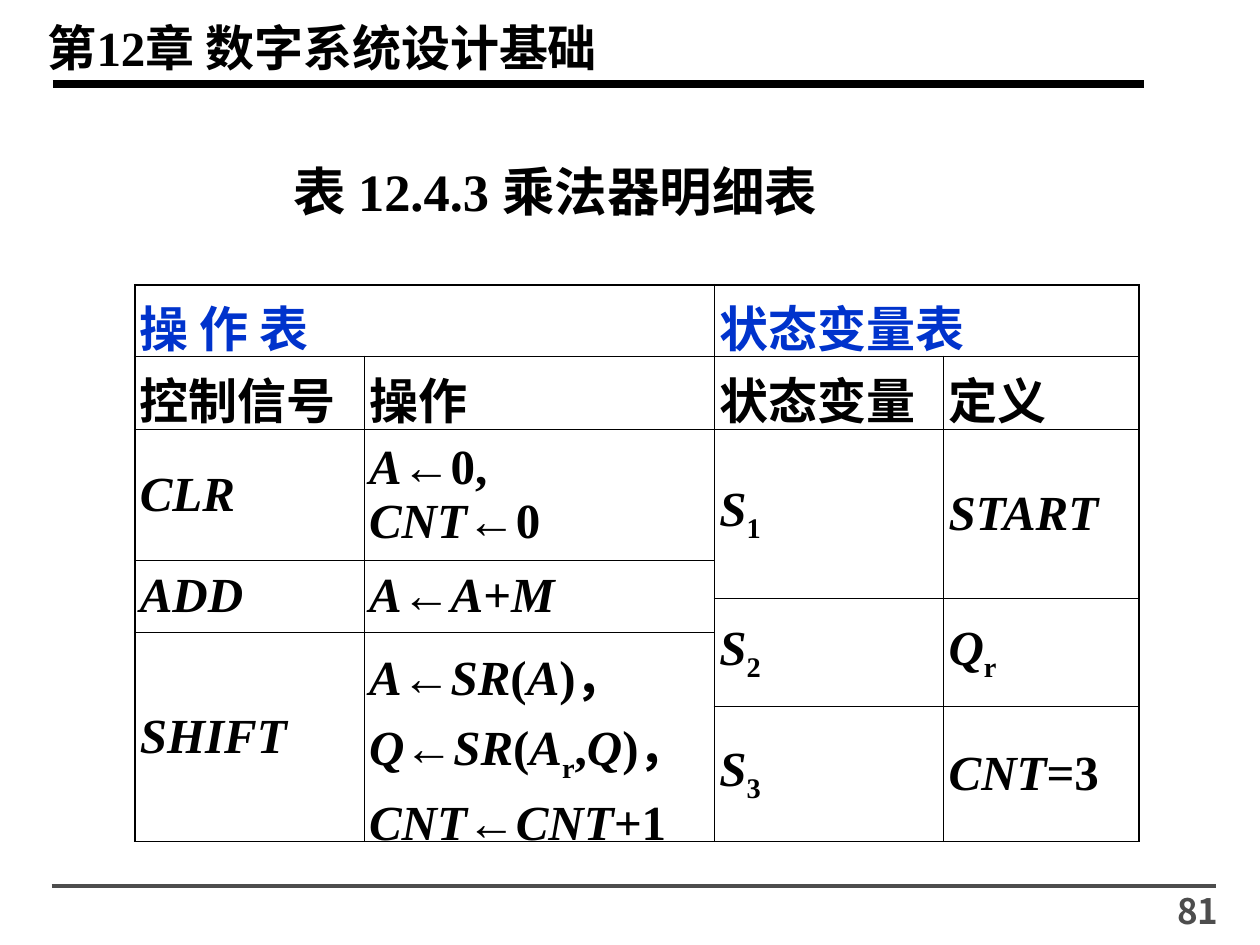
from lxml import etree
from pptx import Presentation
from pptx.dml.color import RGBColor
from pptx.enum.shapes import MSO_CONNECTOR
from pptx.enum.text import MSO_ANCHOR, PP_ALIGN
from pptx.oxml.ns import qn
from pptx.util import Inches, Pt

STRAIGHT = MSO_CONNECTOR.STRAIGHT
TOP, MIDDLE = MSO_ANCHOR.TOP, MSO_ANCHOR.MIDDLE
LEFT, RIGHT = PP_ALIGN.LEFT, PP_ALIGN.RIGHT

LATIN, CJK = "Times New Roman", "Noto Sans CJK SC"
BLACK, BLUE, GREY = "000000", "0033CC", "4D4D4D"
THICK, THIN = 1.08, 0.45

COLUMN_WIDTHS = [1.82, 2.78, 1.82, 1.55]
ROW_HEIGHTS = [0.57, 0.58, 1.04, 0.3, 0.26, 0.59, 1.04]

# row, column, rows spanned, columns spanned, text (*italic*, _subscript_)
CELLS = [
    (0, 0, 1, 2, "操 作 表"),
    (0, 2, 1, 2, "状态变量表"),
    (1, 0, 1, 1, "控制信号"),
    (1, 1, 1, 1, "操作"),
    (1, 2, 1, 1, "状态变量"),
    (1, 3, 1, 1, "定义"),
    (2, 0, 1, 1, "*CLR*"),
    (2, 1, 1, 1, "*A*←0,\n*CNT*←0"),
    (2, 2, 2, 1, "*S*_1_"),
    (2, 3, 2, 1, "*START*"),
    (3, 0, 2, 1, "*ADD*"),
    (3, 1, 2, 1, "*A*←*A*+*M*"),
    (4, 2, 2, 1, "*S*_2_"),
    (4, 3, 2, 1, "*Q*_r_"),
    (5, 0, 2, 1, "*SHIFT*"),
    (5, 1, 2, 1, "*A*←*SR*(*A*)， *Q*←*SR*(*A*_r_,*Q*)，\n*CNT*←*CNT+*1"),
    (6, 2, 1, 1, "*S*_3_"),
    (6, 3, 1, 1, "*CNT*=3"),
]


def rgb(value):
    return RGBColor.from_string(value)


def styled_spans(line):
    """Yield text, italic and subscript for each part of a marked-up line."""
    for i, part in enumerate(line.split("*")):
        for j, text in enumerate(part.split("_")):
            if text:
                yield text, i % 2 == 1, j % 2 == 1


def write(frame, text, size=28, font=LATIN, color=BLACK, align=LEFT):
    for index, line in enumerate(text.split("\n")):
        para = frame.add_paragraph() if index else frame.paragraphs[0]
        para.alignment = align
        for words, italic, subscript in styled_spans(line):
            span = para.add_run()
            span.text = words
            span.font.size = Pt(size)
            span.font.name = font
            span.font.bold = True
            span.font.italic = italic
            span.font.color.rgb = rgb(color)
            properties = span.font._element
            etree.SubElement(properties, qn("a:ea"), typeface=CJK)
            if subscript:
                properties.set("baseline", "-25000")


def add_text(page, box, text, **style):
    frame = page.shapes.add_textbox(*map(Inches, box)).text_frame
    frame.word_wrap = True
    write(frame, text, **style)


def add_rule(page, left, right, y, color, width):
    line = page.shapes.add_connector(
        STRAIGHT, Inches(left), Inches(y), Inches(right), Inches(y))
    line.line.color.rgb = rgb(color)
    line.line.width = Pt(width)
    etree.SubElement(line._element.spPr, qn("a:effectLst"))


def add_header(page, box):
    left, top, width, height = box
    add_text(page, (left - 0.14, top, 6.24, height), "第12章 数字系统设计基础")
    add_rule(page, left, left + width, top + 0.58, BLACK, 4.5)


def add_footer(page, box):
    left, top, width, height = box
    add_rule(page, left, left + width, top + 0.02, GREY, 2)
    add_text(page, (left + width - 1.27, top, 1.39, height), "81",
             size=20, font=CJK, color=GREY, align=RIGHT)


def add_caption(page, box):
    title = page.shapes.title
    title.left, title.top, title.width, title.height = map(Inches, box)
    frame = title.text_frame
    frame.word_wrap = True
    frame.vertical_anchor = TOP
    write(frame, "表 12.4.3 乘法器明细表", size=30)


def set_borders(cell, widths):
    """Draw the left, right, top and bottom borders in the given widths."""
    properties = cell._tc.get_or_add_tcPr()
    for side, width in zip("LRTB", widths):
        line = etree.SubElement(properties, qn(f"a:ln{side}"), w=str(int(Pt(width))))
        fill = etree.SubElement(line, qn("a:solidFill"))
        etree.SubElement(fill, qn("a:srgbClr"), val=BLACK)


def border_widths(row, column, row_span, column_span):
    """Thin lines split the body rows and each pair of columns."""
    last_row = row + row_span == len(ROW_HEIGHTS)
    single = column_span == 1
    return (
        THIN if single and column % 2 else THICK,
        THIN if single and column % 2 == 0 else THICK,
        THIN if row > 2 else THICK,
        THIN if row >= 2 and not last_row else THICK,
    )


def add_detail_table(page, box):
    table = page.shapes.add_table(
        len(ROW_HEIGHTS), len(COLUMN_WIDTHS), *map(Inches, box)).table
    table.first_row = table.horz_banding = False
    for column, width in zip(table.columns, COLUMN_WIDTHS):
        column.width = Inches(width)
    for row, height in zip(table.rows, ROW_HEIGHTS):
        row.height = Inches(height)
    for cell in table.iter_cells():
        cell.margin_left = cell.margin_right = Inches(0.04)
        cell.margin_top = cell.margin_bottom = Inches(0.05)
        cell.vertical_anchor = MIDDLE
    for row, column, row_span, column_span, text in CELLS:
        cell = table.cell(row, column)
        if row_span * column_span > 1:
            cell.merge(table.cell(row + row_span - 1, column + column_span - 1))
        set_borders(cell, border_widths(row, column, row_span, column_span))
        write(cell.text_frame, text, color=BLACK if row else BLUE)
    for cell in table.iter_cells():
        cell.fill.background()
        if cell.is_spanned:
            cell.text_frame.paragraphs[0].font.size = Pt(1)
    for para in table.cell(5, 1).text_frame.paragraphs[1:]:
        para.space_before = Pt(7)


def main():
    deck = Presentation()
    deck.slide_width, deck.slide_height = Inches(10), Inches(7.5)
    page = deck.slides.add_slide(deck.slide_layouts[5])
    add_header(page, (0.42, 0.09, 8.66, 0.57))
    add_footer(page, (0.41, 7.01, 9.24, 0.39))
    add_detail_table(page, (1.07, 2.26, 7.97, 4.38))
    add_caption(page, (2.23, 1.21, 4.83, 0.6))
    deck.save("out.pptx")


if __name__ == "__main__":
    main()
